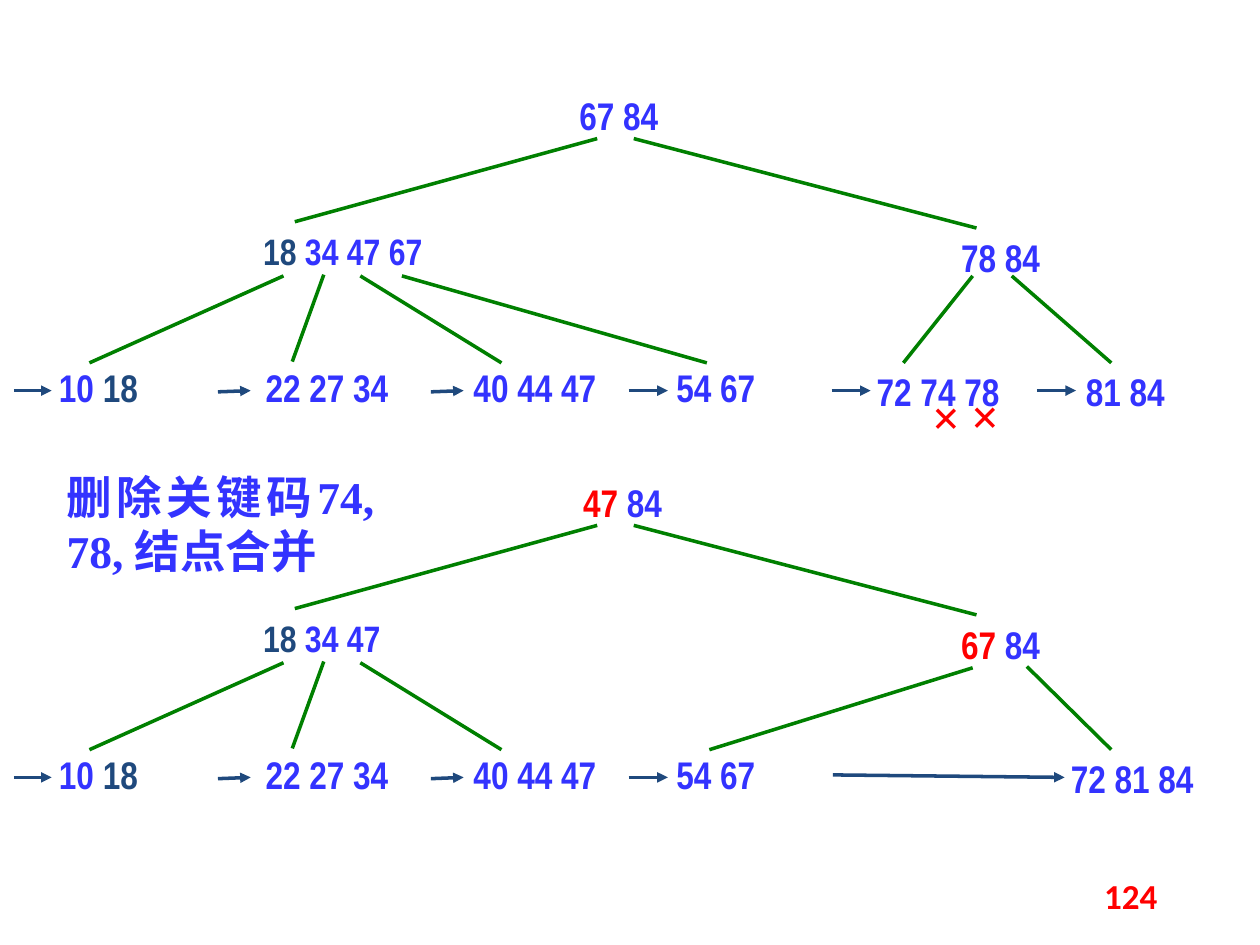
import pptx
import pptx.dml.color
import pptx.enum.shapes
import pptx.enum.text
import pptx.oxml.ns
import pptx.util
from dataclasses import dataclass
from lxml import etree
from pptx.util import Inches


@dataclass(frozen=True)
class Theme:
    key: str = "3333FF"
    dark: str = "1F497D"
    changed: str = "FF0000"
    edge: str = "008000"
    key_font: str = "Arial Narrow"
    note_font: str = "Times New Roman"
    page_font: str = "Calibri"
    key_size: float = 22
    index_size: float = 21
    note_size: float = 26
    cross_size: float = 28
    page_size: float = 20
    line_width: float = 2


theme = Theme()
ALIGN = pptx.enum.text.PP_ALIGN

prs = pptx.Presentation()
prs.slide_width, prs.slide_height = Inches(10), Inches(7.5)
slide = prs.slides.add_slide(prs.slide_layouts[6])


def add_label(box, runs, font=theme.key_font, size=theme.key_size, bold=True, align=ALIGN.JUSTIFY):
    """Text box at (left, top, width, height) from (text, colour) runs."""
    frame = slide.shapes.add_textbox(*map(Inches, box)).text_frame
    frame.word_wrap = True
    paragraph = frame.paragraphs[0]
    paragraph.alignment = align
    paragraph.font.name = font
    paragraph.font.size = pptx.util.Pt(size)
    paragraph.font.bold = bold
    for text, colour in runs:
        run = paragraph.add_run()
        run.text = text
        run.font.color.rgb = pptx.dml.color.RGBColor.from_string(colour)
    return frame


def add_line(x1, y1, x2, y2, colour, arrow=False):
    connector = slide.shapes.add_connector(
        pptx.enum.shapes.MSO_CONNECTOR.STRAIGHT, *map(Inches, (x1, y1, x2, y2)))
    connector.line.color.rgb = pptx.dml.color.RGBColor.from_string(colour)
    connector.line.width = pptx.util.Pt(theme.line_width)
    if arrow:
        etree.SubElement(connector.line._ln, pptx.oxml.ns.qn("a:tailEnd"), type="triangle")
    etree.SubElement(connector._element.spPr, pptx.oxml.ns.qn("a:effectLst"))


# Parts common to both trees; y values are relative to the top of a tree
shared_edges = [
    (4.74, 0.42, 2.34, 1.08), (5.03, 0.42, 7.75, 1.13),
    (2.25, 1.51, 0.71, 2.2), (2.57, 1.5, 2.32, 2.19), (2.86, 1.51, 3.98, 2.2),
]
shared_leaves = [
    (0.37, 2.16, [("10 ", theme.key), ("18", theme.dark)]),
    (2.01, 2.16, [("22 27 34", theme.key)]),
    (3.66, 2.16, [("40 44 47", theme.key)]),
    (5.27, 2.16, [("54 67", theme.key)]),
]
shared_links = [(0.11, 2.42, 0.41, 2.42), (1.73, 2.43, 1.99, 2.42),
                (3.42, 2.43, 3.68, 2.42), (4.99, 2.42, 5.3, 2.42)]

before = {
    "top": 0.68,
    "index": " 34 47 67",
    "nodes": [
        (4.5, 0, [("67 84", theme.key)]),
        (7.53, 1.13, [("78 84", theme.key)]),
        (6.86, 2.19, [("72 74 78", theme.key)]),
        (8.52, 2.19, [("81 84", theme.key)]),
    ],
    "edges": [(3.19, 1.51, 5.61, 2.2), (7.72, 1.51, 7.17, 2.2), (8.03, 1.51, 8.82, 2.2)],
    "links": [(6.6, 2.42, 6.91, 2.42), (8.23, 2.42, 8.54, 2.42)],
}
after = {
    "top": 3.75,
    "index": " 34 47",
    "nodes": [
        (4.53, 0, [("47", theme.changed), (" 84", theme.key)]),
        (7.53, 1.13, [("67", theme.changed), (" 84", theme.key)]),
        (8.4, 2.19, [("72 81 84", theme.key)]),
    ],
    "edges": [(7.72, 1.55, 5.63, 2.2), (8.15, 1.54, 8.82, 2.2)],
    "links": [(6.61, 2.4, 8.45, 2.42)],
}

for tree in (before, after):
    top = tree["top"]
    for colour, lines, arrow in (
        (theme.edge, shared_edges + tree["edges"], False),
        (theme.dark, shared_links + tree["links"], True),
    ):
        for x1, y1, x2, y2 in lines:
            add_line(x1, top + y1, x2, top + y2, colour, arrow)
    for left, y, runs in shared_leaves + tree["nodes"]:
        add_label((left, top + y, 1.56, 0.58), runs)
    add_label((1.99, top + 1.09, 1.56, 0.58),
              [("18", theme.dark), (tree["index"], theme.key)], size=theme.index_size)

for left, top in ((7.3, 3.02), (7.61, 3.01)):
    add_label((left, top, 0.65, 0.71), [("×", theme.changed)], theme.note_font, theme.cross_size)

add_label((0.43, 3.67, 2.64, 1.28), [("删除关键码74, 78, 结点合并", theme.key)],
          theme.note_font, theme.note_size)

page_number = add_label((8.42, 6.91, 1.11, 0.4), [("124", theme.changed)],
                        theme.page_font, theme.page_size, align=ALIGN.CENTER)
page_number.vertical_anchor = pptx.enum.text.MSO_ANCHOR.MIDDLE

prs.save("out.pptx")
